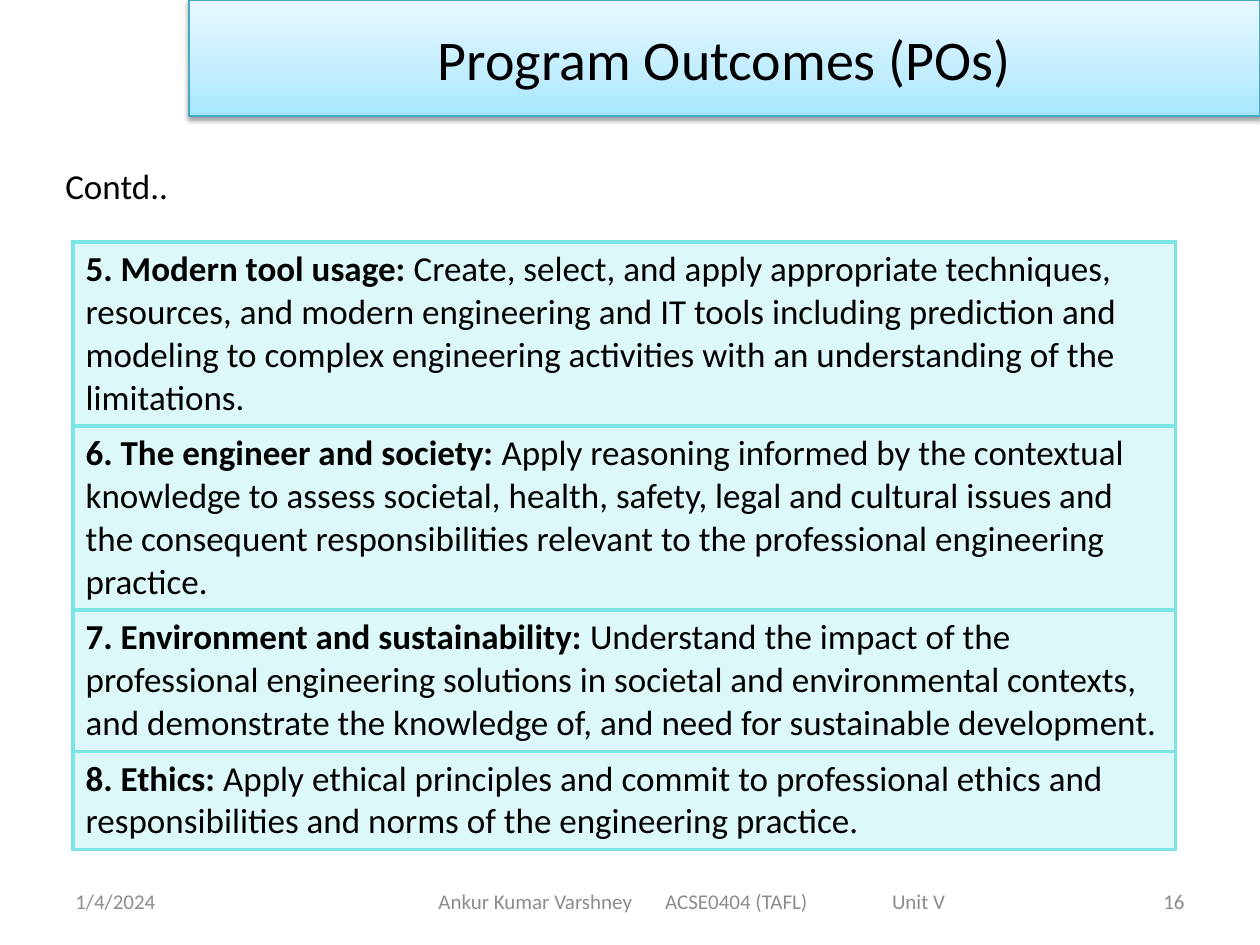
from lxml.etree import SubElement
from pptx import Presentation
from pptx.dml.color import RGBColor
from pptx.enum.shapes import MSO_SHAPE
from pptx.enum.text import MSO_ANCHOR, PP_ALIGN
from pptx.oxml import parse_xml
from pptx.oxml.ns import nsdecls, qn
from pptx.util import Inches, Pt

BLACK = RGBColor(0x00, 0x00, 0x00)
GRAY = RGBColor(0x8C, 0x8C, 0x8C)
AQUA = RGBColor(0x7B, 0xE5, 0xE5)
TEAL = RGBColor(0x46, 0xAA, 0xC5)
STOPS = [
    (0, RGBColor(0xA7, 0xE6, 0xFF)),
    (35, RGBColor(0xC1, 0xED, 0xFF)),
    (100, RGBColor(0xE7, 0xF8, 0xFF)),
]
GOALS = [
    ("5. Modern tool usage: ",
     "Create, select, and apply appropriate techniques, resources, and modern "
     "engineering and IT tools including prediction and modeling to complex "
     "engineering activities with an understanding of the limitations.", 1.46),
    ("6. The engineer and society:",
     " Apply reasoning informed by the contextual knowledge to assess societal, "
     "health, safety, legal and cultural issues and the consequent "
     "responsibilities relevant to the professional engineering practice.", 1.46),
    ("7. Environment and sustainability: ",
     "Understand the impact of the professional engineering solutions in "
     "societal and environmental contexts, and demonstrate the knowledge of, "
     "and need for sustainable development.", 1.12),
    ("8. Ethics:",
     " Apply ethical principles and commit to professional ethics and "
     "responsibilities and norms of the engineering practice.", 0.78),
]


def style(font, size, color, bold=False):
    """Set the look of a font."""
    font.name = "Calibri"
    font.size = Pt(size)
    font.bold = bold
    font.color.rgb = color


def add_text(slide, box, text, size, color, align=PP_ALIGN.LEFT, tabs=(), wrap=True):
    """Place one line of text in a box and return its frame."""
    frame = slide.shapes.add_textbox(*map(Inches, box)).text_frame
    frame.word_wrap = wrap
    frame.vertical_anchor = MSO_ANCHOR.MIDDLE
    para = frame.paragraphs[0]
    para.text = text
    para.alignment = align
    if tabs:
        stops = SubElement(para._p.get_or_add_pPr(), qn("a:tabLst"))
        for pos in tabs:
            SubElement(stops, qn("a:tab"), pos=str(Inches(pos)), algn="l")
    for run in para.runs:
        style(run.font, size, color)
    return frame


def add_banner(slide, box, text):
    """Draw the title bar with its gradient and soft shadow."""
    bar = slide.shapes.add_shape(MSO_SHAPE.RECTANGLE, *map(Inches, box))
    bar.shadow.inherit = False
    bar.fill.gradient()
    bar.fill.gradient_angle = 90
    stops = bar._element.spPr.find(".//" + qn("a:gsLst"))
    for stop in list(stops):
        stops.remove(stop)
    for pos, color in STOPS:
        stop = SubElement(stops, qn("a:gs"), pos=str(pos * 1000))
        SubElement(stop, qn("a:srgbClr"), val=str(color))
    bar.line.color.rgb = TEAL
    bar.line.width = Pt(0.75)
    bar._element.spPr.find(qn("a:effectLst")).append(parse_xml(
        f'<a:outerShdw {nsdecls("a")} blurRad="{Pt(3.1)}" dist="{Pt(1.6)}" '
        'dir="5400000" rotWithShape="0"><a:srgbClr val="000000">'
        '<a:alpha val="38000"/></a:srgbClr></a:outerShdw>'))
    frame = bar.text_frame
    frame.text = text
    frame.vertical_anchor = MSO_ANCHOR.MIDDLE
    para = frame.paragraphs[0]
    para.alignment = PP_ALIGN.CENTER
    style(para.runs[0].font, 32, BLACK)


def paint_cell(cell):
    """Give a cell its pale fill and its border."""
    cell.fill.solid()
    cell.fill.fore_color.rgb = AQUA
    props = cell._tc.get_or_add_tcPr()
    SubElement(props.find(".//" + qn("a:srgbClr")), qn("a:alpha"), val="25000")
    for i, side in enumerate("LRTB"):
        props.insert(i, parse_xml(
            f'<a:ln{side} {nsdecls("a")} w="{Pt(2.25)}"><a:solidFill>'
            f'<a:srgbClr val="{AQUA}"/></a:solidFill></a:ln{side}>'))


def add_goals(slide, box):
    """Fill the table of outcomes, one to a row."""
    table = slide.shapes.add_table(len(GOALS), 1, *map(Inches, box)).table
    table.first_row = False
    table.horz_banding = False
    for row, (head, body, height) in zip(table.rows, GOALS):
        row.height = Inches(height)
        cell = row.cells[0]
        paint_cell(cell)
        para = cell.text_frame.paragraphs[0]
        for text, bold in ((head, True), (body, False)):
            run = para.add_run()
            run.text = text
            style(run.font, 20, BLACK, bold)


def add_footer(slide, box):
    """Place date, course line and page number along the bottom."""
    left, top, width, height = box
    side = 2.33
    add_text(slide, (left, top, side, height), "1/4/2024", 12, GRAY)
    course = add_text(slide, (left + 2.25, top, 5.5, height),
                      "Ankur Kumar Varshney\tACSE0404 (TAFL)\tUnit V",
                      12, GRAY, tabs=(1.8, 3.6))
    course.margin_left = Inches(0.73)
    add_text(slide, (left + width - side, top, side, height), "16", 12, GRAY,
             PP_ALIGN.RIGHT)


def main():
    """Build the slide and save it."""
    deck = Presentation()
    deck.slide_width = Inches(10)
    deck.slide_height = Inches(7.5)
    slide = deck.slides.add_slide(deck.slide_layouts[6])
    add_goals(slide, (0.58, 1.92, 8.75, 4.82))
    add_text(slide, (0.42, 1.25, 1.02, 0.44), "Contd..", 20, BLACK, wrap=False)
    add_banner(slide, (1.5, 0, 8.5, 0.92), "Program Outcomes (POs)")
    add_footer(slide, (0.5, 6.95, 9, 0.4))
    deck.save("out.pptx")


if __name__ == "__main__":
    main()
